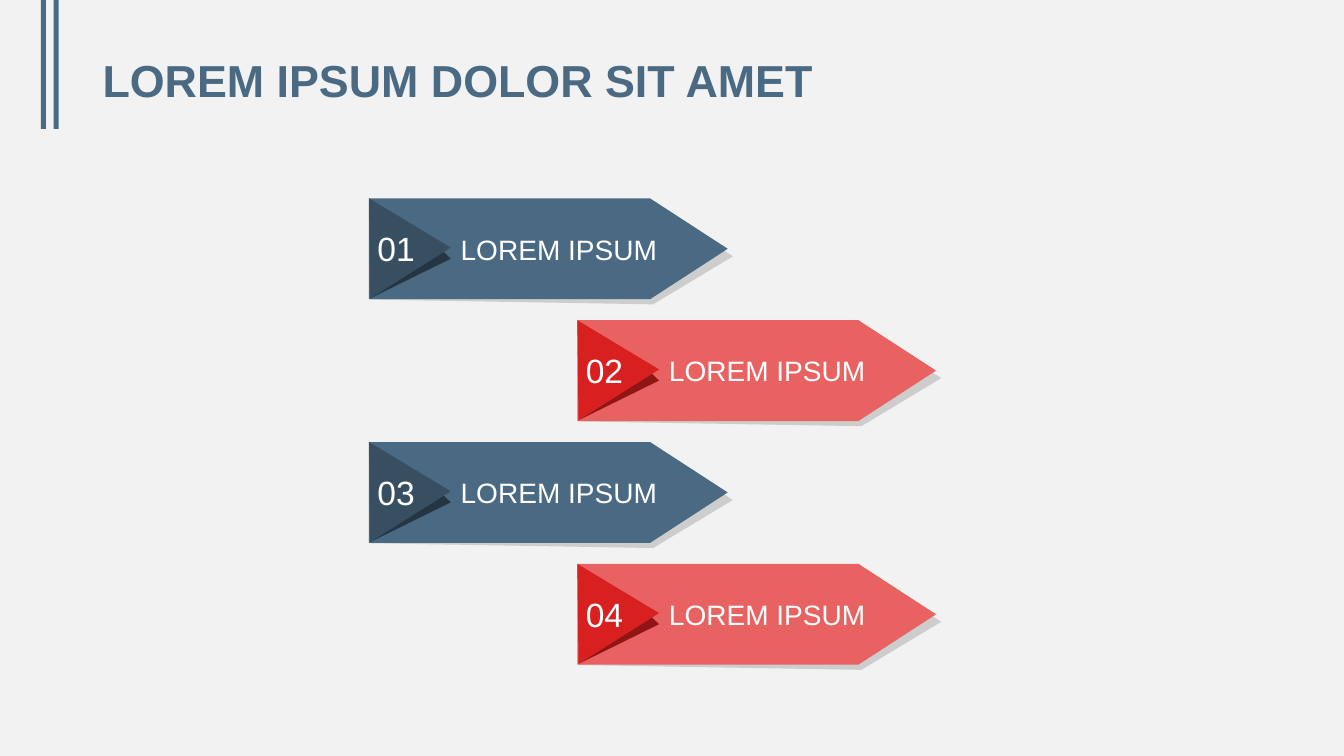
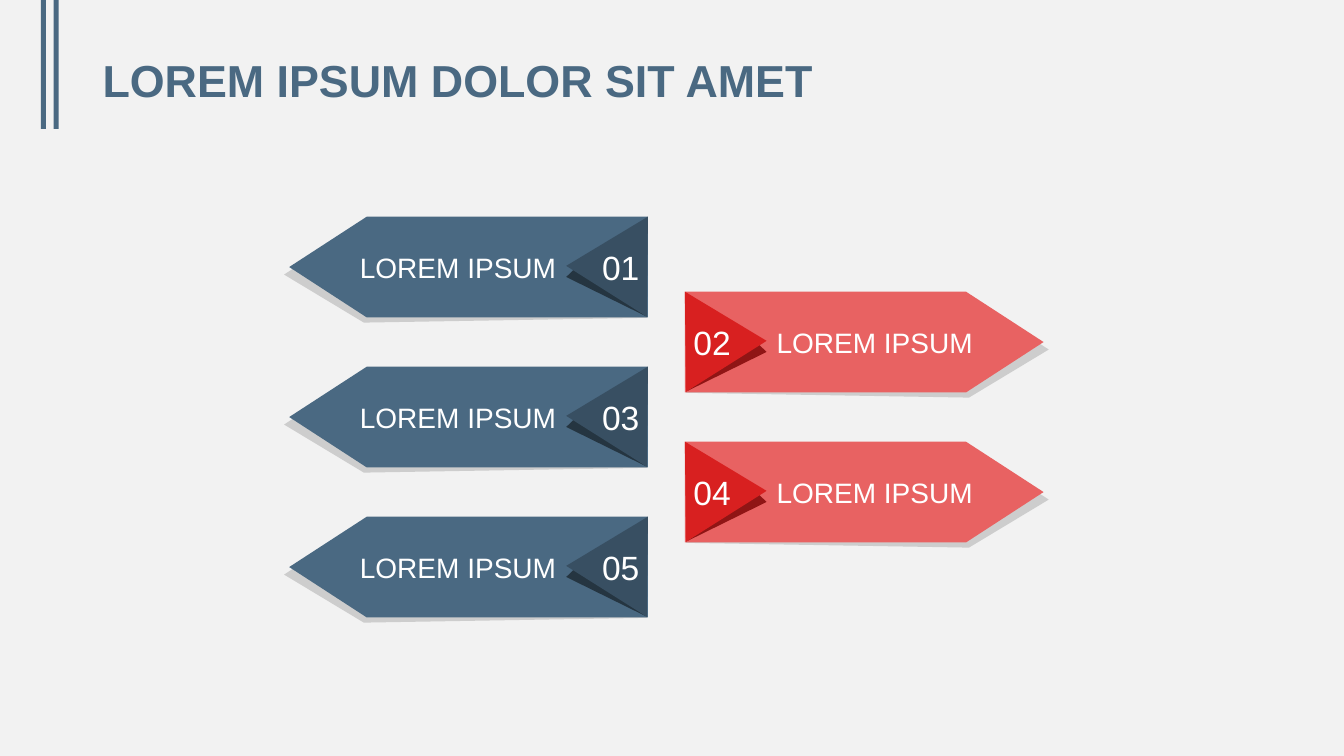
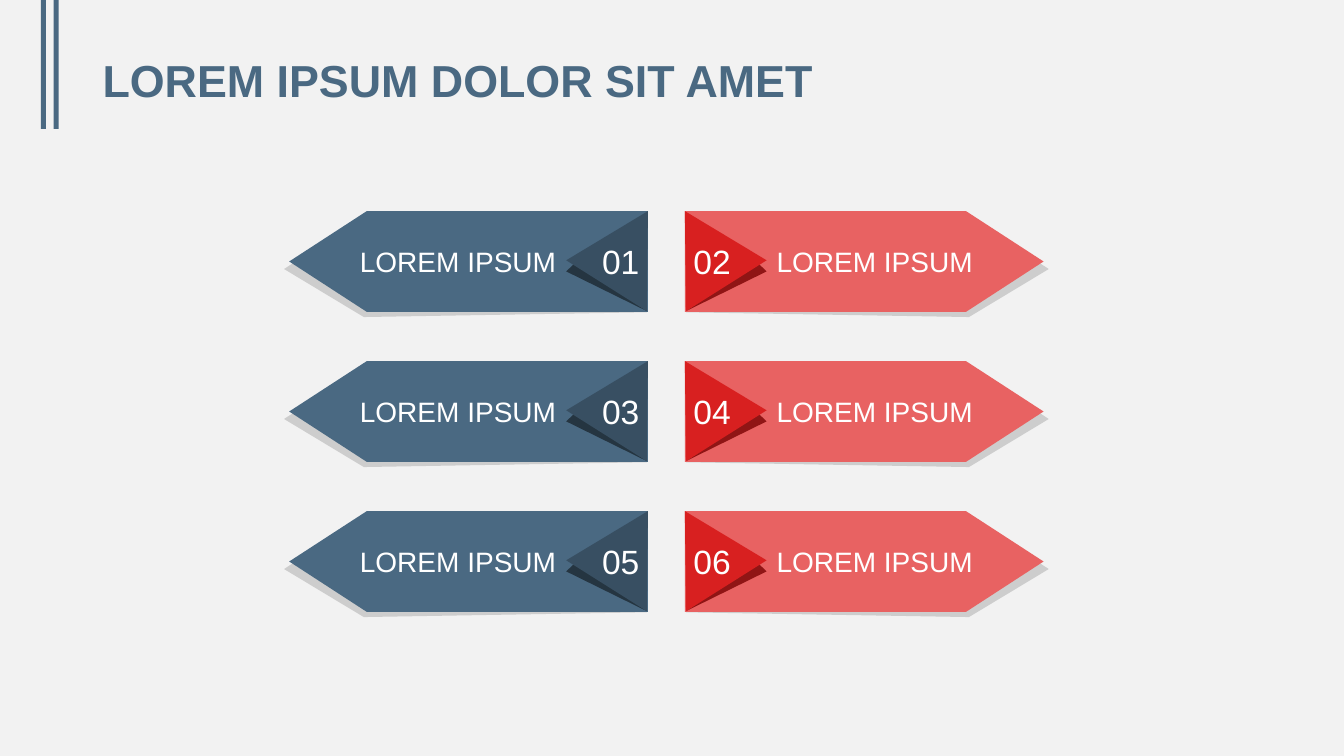
"""Three slides of numbered arrow banners under one shared title style."""
from dataclasses import dataclass

from pptx import Presentation
from pptx.dml.color import RGBColor
from pptx.enum.shapes import MSO_SHAPE
from pptx.enum.text import MSO_ANCHOR, MSO_AUTO_SIZE, PP_ALIGN
from pptx.util import Cm, Pt

RECT = MSO_SHAPE.RECTANGLE
PLATE = MSO_SHAPE.PENTAGON
MIDDLE = MSO_ANCHOR.MIDDLE
FIXED = MSO_AUTO_SIZE.NONE
LEFT, CENTER, RIGHT = PP_ALIGN.LEFT, PP_ALIGN.CENTER, PP_ALIGN.RIGHT


@dataclass(frozen=True)
class Tone:
    """Three shades of one banner."""
    base: str
    tab: str
    fold: str


@dataclass(frozen=True)
class Theme:
    """Colours, font and type sizes of the deck."""
    back: str = "F2F2F2"
    shade: str = "CDCDCD"
    white: str = "FFFFFF"
    blue: Tone = Tone("4A6982", "384F62", "253541")
    red: Tone = Tone("E86262", "D82020", "901515")
    font: str = "Arial"
    head: int = 32
    count: int = 24
    label: int = 20


THEME = Theme()
TITLE = "LOREM IPSUM DOLOR SIT AMET"
LABEL = "LOREM IPSUM"
WIDTH, HEIGHT = 9.04, 2.54
SHADE = [(0.08, 0.14), (7.16, 0.14), (9.17, 1.46), (7.16, 2.67), (0.03, 2.55)]
FOLD = [(1.83, 1.3), (2.06, 1.52), (0.03, 2.52)]
TAB = [(0, 0), (2.06, 1.24), (0.03, 2.52)]
LEFT_X, RIGHT_X = 16.33, 17.26
STEP = 3.78


def paint(fill, color):
    """Make a fill solid in one colour."""
    fill.solid()
    fill.fore_color.rgb = RGBColor.from_string(color)


def write(frame, text, size, color, align=LEFT, bold=False, inset=None, space=None):
    """Set formatted text, with left and right insets in centimetres."""
    frame.word_wrap = True
    frame.auto_size = FIXED
    frame.vertical_anchor = MIDDLE
    if inset:
        frame.margin_left, frame.margin_right = map(Cm, inset)
        frame.margin_top = frame.margin_bottom = 0
    para = frame.paragraphs[0]
    para.alignment = align
    para.line_spacing = space
    run = para.add_run()
    run.text = text
    run.font.name = THEME.font
    run.font.size = Pt(size)
    run.font.bold = bold
    run.font.color.rgb = RGBColor.from_string(color)


class Deck:
    """Holds the style and the current slide."""

    def __init__(self, theme):
        """Start a wide deck with its shared background."""
        self.theme = theme
        self.file = Presentation()
        self.file.slide_width, self.file.slide_height = Cm(33.87), Cm(19.05)
        self.master = self.file.slide_master
        paint(self.master.background.fill, theme.back)
        self.slide = None

    def finish(self, shape, color):
        """Give a shape a flat fill without line or shadow."""
        paint(shape.fill, color)
        shape.line.fill.background()
        shape.shadow.inherit = False
        return shape

    def bars(self):
        """Place the two upright bars on the master."""
        for i in range(2):
            bar = self.slide.shapes.add_shape(
                RECT, Cm(1.03 + 0.32 * i), 0, Cm(0.13), Cm(3.25))
            self.finish(bar, self.theme.blue.base)
            bar.element.nvSpPr.cNvPr.id = 100 + i
            self.master.shapes.element.insert(2, bar.element)

    def page(self, text):
        """Add a slide with its title."""
        first = self.slide is None
        self.slide = self.file.slides.add_slide(self.file.slide_layouts[5])
        if first:
            self.bars()
        title = self.slide.shapes.title
        title.left, title.top = Cm(2.33), Cm(1.09)
        title.width, title.height = Cm(29.21), Cm(2.01)
        write(title.text_frame, text, size=self.theme.head,
              color=self.theme.blue.base, bold=True, space=0.9)

    def outline(self, group, points, color):
        """Draw a closed outline from a list of points."""
        first, *rest = [(Cm(x), Cm(y)) for x, y in points]
        pen = group.shapes.build_freeform(*first)
        pen.add_line_segments(rest, close=True)
        return self.finish(pen.convert_to_shape(), color)

    def banner(self, x, y, num, tone, flip=False):
        """Draw one banner from its square top corner, pointing left if flipped."""
        side = -1 if flip else 1
        group = self.slide.shapes.add_group_shape()

        def place(points):
            """Move points to the corner, mirrored if flipped."""
            return [(x + side * dx, y + dy) for dx, dy in points]

        self.outline(group, place(SHADE), self.theme.shade)
        plate = group.shapes.add_shape(
            PLATE, Cm(x - WIDTH if flip else x), Cm(y), Cm(WIDTH), Cm(HEIGHT))
        plate.adjustments[0] = 0.77
        if flip:
            plate.element.spPr.get_or_add_xfrm().set("flipH", "1")
        self.finish(plate, tone.base)
        write(plate.text_frame, LABEL, size=self.theme.label, color=self.theme.white,
              align=RIGHT if flip else LEFT, inset=(2.31, 0)[::side])
        self.outline(group, place(FOLD), tone.fold)
        tab = self.outline(group, place(TAB), tone.tab)
        write(tab.text_frame, f"{num:02}", size=self.theme.count,
              color=self.theme.white, align=CENTER, inset=(0.1, 0.79)[::side])

    def pair(self, i, y):
        """Draw banner i of two columns that point outwards."""
        if i % 2:
            self.banner(RIGHT_X, y, i + 1, self.theme.red)
        else:
            self.banner(LEFT_X, y, i + 1, self.theme.blue, flip=True)


def main():
    """Build and save the deck."""
    deck = Deck(THEME)

    deck.page(TITLE)
    for i in range(4):
        tone = THEME.red if i % 2 else THEME.blue
        deck.banner(9.3 + 5.25 * (i % 2), 5 + 3.07 * i, i + 1, tone)

    deck.page(TITLE)
    for i in range(5):
        deck.pair(i, 5.46 + STEP / 2 * i)

    deck.page(TITLE)
    for i in range(6):
        deck.pair(i, 5.32 + STEP * (i // 2))

    deck.file.save("out.pptx")


if __name__ == "__main__":
    main()
